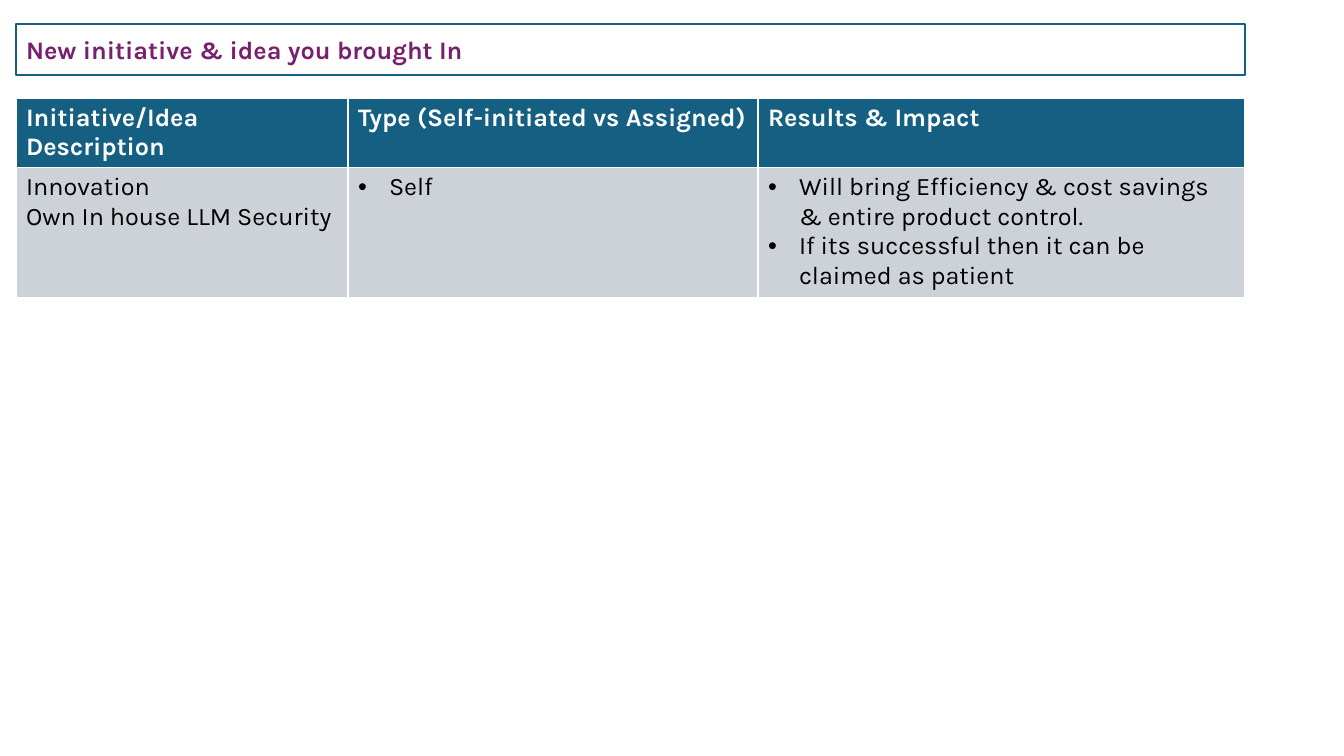
"""Build a slide with a boxed title and a table of initiatives."""
import pptx
import pptx.dml.color
import pptx.enum.text
import pptx.oxml
import pptx.oxml.ns
import pptx.util

TITLE = "New initiative & idea you brought In"
HEADERS = ["Initiative/Idea Description", "Type (Self-initiated vs Assigned)", "Results & Impact"]
DESCRIPTION = ["Innovation\nOwn In house LLM Security"]
INITIATIVE_TYPE = ["Self"]
RESULTS = [
    "Will bring Efficiency & cost savings & entire product control.",
    "If its successful then it can be claimed as patient",
]
ROWS = [
    [[header] for header in HEADERS],
    [DESCRIPTION, INITIATIVE_TYPE, RESULTS],
]
COLORS = {"white": "FFFFFF", "black": "000000", "teal": "156082", "gray": "CCD2D8", "purple": "78206E"}
FONT = "Karla"
PX = 9071
SLIDE_SIZE = (1344, 756)
LEFT = 16
TITLE_TOP, TITLE_HEIGHT = 24, 51
TABLE_TOP = 98
COLUMN_WIDTHS = [332, 410, 487]
ROW_HEIGHTS = [48, 130]
BULLET_INDENT = 31


def px(length):
    return pptx.util.Emu(length * PX)


def color(name):
    return pptx.dml.color.RGBColor.from_string(COLORS[name])


def fill_solid(target, name):
    target.fill.solid()
    target.fill.fore_color.rgb = color(name)


def set_font(paragraph, name, bold):
    paragraph.font.name = FONT
    paragraph.font.size = pptx.util.Pt(18)
    paragraph.font.bold = bold
    paragraph.font.color.rgb = color(name)


def add_bullet(paragraph):
    properties = paragraph._p.get_or_add_pPr()
    properties.set("marL", str(px(BULLET_INDENT)))
    properties.set("indent", str(-px(BULLET_INDENT)))
    namespace = pptx.oxml.ns.nsdecls("a")
    for position, xml in enumerate([
        f'<a:buFont {namespace} typeface="Arial"/>',
        f'<a:buChar {namespace} char="•"/>',
    ]):
        properties.insert(position, pptx.oxml.parse_xml(xml))


def add_title(slide):
    title = slide.shapes.title
    title.left, title.top = px(LEFT), px(TITLE_TOP)
    title.width, title.height = px(sum(COLUMN_WIDTHS)), px(TITLE_HEIGHT)
    fill_solid(title, "white")
    title.line.color.rgb = color("teal")
    title.line.width = pptx.util.Pt(1.5)
    frame = title.text_frame
    frame.text = TITLE
    frame.word_wrap = True
    frame.auto_size = pptx.enum.text.MSO_AUTO_SIZE.NONE
    frame.vertical_anchor = pptx.enum.text.MSO_ANCHOR.MIDDLE
    paragraph = frame.paragraphs[0]
    paragraph.alignment = pptx.enum.text.PP_ALIGN.JUSTIFY
    set_font(paragraph, "purple", True)


def add_initiatives(slide):
    table = slide.shapes.add_table(
        len(ROWS), len(HEADERS), px(LEFT), px(TABLE_TOP),
        px(sum(COLUMN_WIDTHS)), px(sum(ROW_HEIGHTS)),
    ).table
    for column, width in zip(table.columns, COLUMN_WIDTHS):
        column.width = px(width)
    for row, height in zip(table.rows, ROW_HEIGHTS):
        row.height = px(height)
    for row_index, row in enumerate(ROWS):
        is_header = row_index == 0
        for column_index, lines in enumerate(row):
            cell = table.cell(row_index, column_index)
            fill_solid(cell, "teal" if is_header else "gray")
            for line_index, line in enumerate(lines):
                frame = cell.text_frame
                paragraph = frame.add_paragraph() if line_index else frame.paragraphs[0]
                paragraph.text = line.replace("\n", "\v")
                set_font(paragraph, "white" if is_header else "black", is_header)
                if not is_header and column_index > 0:
                    add_bullet(paragraph)


def main():
    presentation = pptx.Presentation()
    presentation.slide_width, presentation.slide_height = map(px, SLIDE_SIZE)
    slide = presentation.slides.add_slide(presentation.slide_layouts[5])
    add_title(slide)
    add_initiatives(slide)
    presentation.save("out.pptx")


if __name__ == "__main__":
    main()
